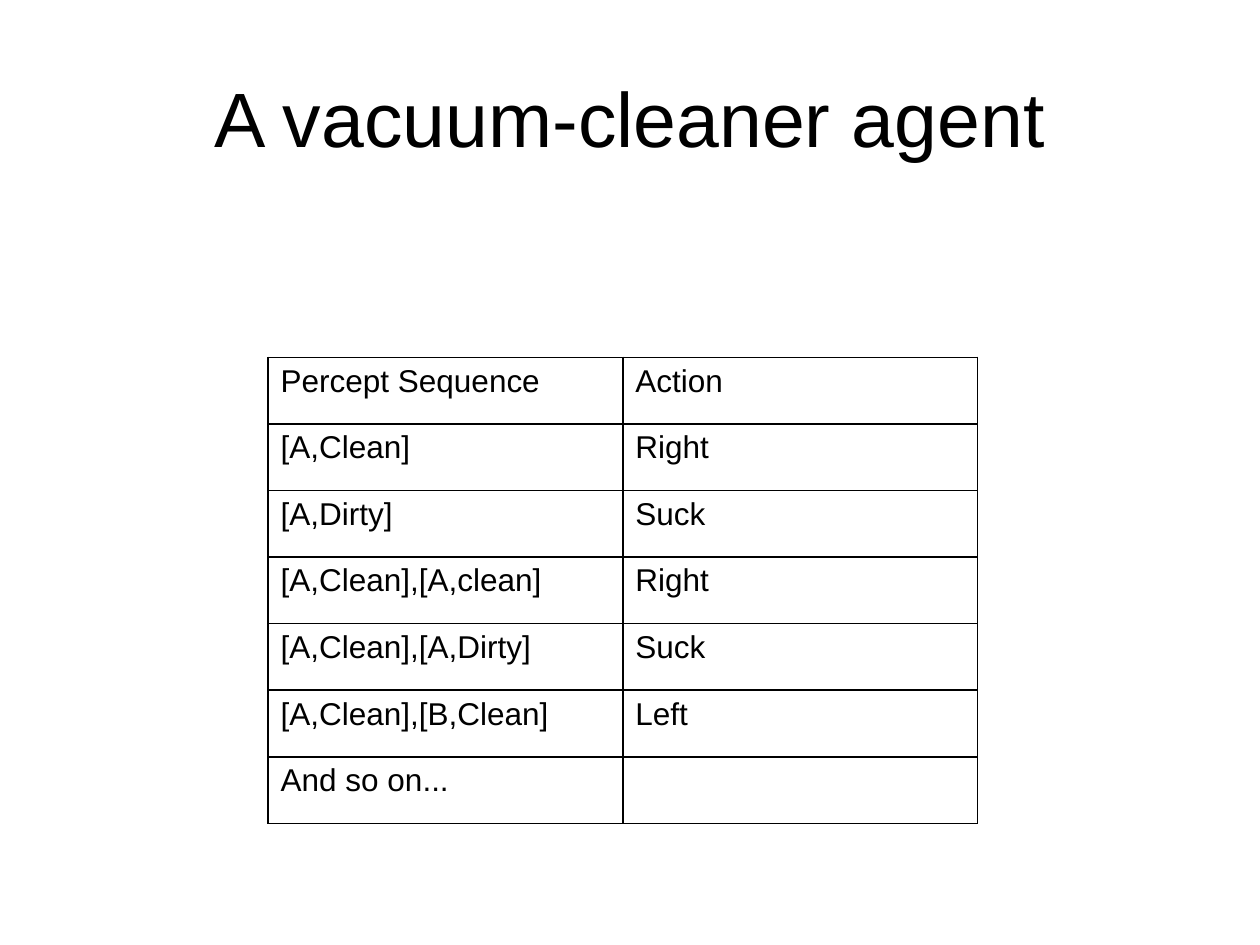
"""Build the vacuum-cleaner agent slide with its percept-action table."""
from dataclasses import dataclass

from lxml import etree
from pptx import Presentation
from pptx.dml.color import RGBColor
from pptx.enum.text import MSO_ANCHOR, PP_ALIGN
from pptx.oxml.ns import qn
from pptx.util import Pt

CENTER = PP_ALIGN.CENTER
MIDDLE = MSO_ANCHOR.MIDDLE


@dataclass(frozen=True)
class Theme:
    font: str = "Arial"
    ink: str = "000000"
    paper: str = "FFFFFF"
    title_size: int = 44
    cell_size: int = 18
    border: float = 1


THEME = Theme()
ROWS = [
    ("Percept Sequence", "Action"),
    ("[A,Clean]", "Right"),
    ("[A,Dirty]", "Suck"),
    ("[A,Clean],[A,clean]", "Right"),
    ("[A,Clean],[A,Dirty]", "Suck"),
    ("[A,Clean],[B,Clean]", "Left"),
    ("And so on...", ""),
]
COL_WIDTH = Pt(202.65)
ROW_HEIGHT = Pt(38.05)


def add_run(p, text, size):
    r = p.add_run()
    r.text = text
    r.font.name = THEME.font
    r.font.size = Pt(size)
    r.font.bold = False
    r.font.color.rgb = RGBColor.from_string(THEME.ink)


def add_borders(cell):
    tc_pr = cell._tc.get_or_add_tcPr()
    for i, side in enumerate(("lnL", "lnR", "lnT", "lnB")):
        ln = etree.Element(qn(f"a:{side}"), w=str(Pt(THEME.border)))
        fill = etree.SubElement(ln, qn("a:solidFill"))
        etree.SubElement(fill, qn("a:srgbClr"), val=THEME.ink)
        tc_pr.insert(i, ln)


prs = Presentation()
prs.slide_width, prs.slide_height = Pt(720), Pt(540)
s = prs.slides.add_slide(prs.slide_layouts[5])
s.background.fill.solid()
s.background.fill.fore_color.rgb = RGBColor.from_string(THEME.paper)

title = s.shapes.title
title.left, title.top, title.width, title.height = Pt(36), Pt(21.6), Pt(648), Pt(90)
tf = title.text_frame
tf.word_wrap = True
tf.vertical_anchor = MIDDLE
p = tf.paragraphs[0]
p.alignment = CENTER
add_run(p, "A vacuum-cleaner agent", THEME.title_size)

frame = s.shapes.add_table(
    len(ROWS), 2, Pt(153.2), Pt(204.2), COL_WIDTH * 2, ROW_HEIGHT * len(ROWS)
)
table = frame.table
table.first_row = False
table.horz_banding = False
for column in table.columns:
    column.width = COL_WIDTH
for row, texts in zip(table.rows, ROWS):
    row.height = ROW_HEIGHT
    for cell, text in zip(row.cells, texts):
        cell.fill.background()
        add_borders(cell)
        if text:
            add_run(cell.text_frame.paragraphs[0], text, THEME.cell_size)

prs.save("out.pptx")
